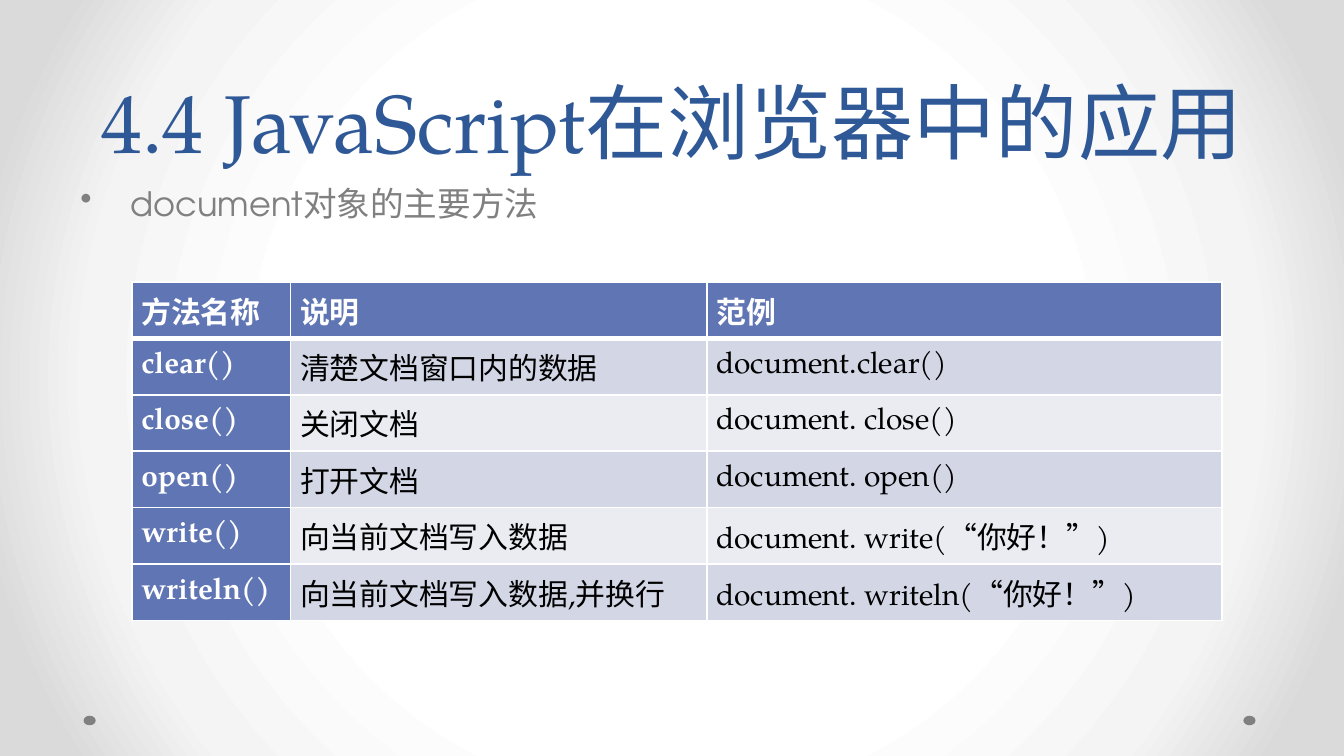
from dataclasses import dataclass

from pptx import Presentation
from pptx.dml.color import RGBColor
from pptx.enum.shapes import MSO_SHAPE
from pptx.enum.text import MSO_ANCHOR, PP_ALIGN
from pptx.oxml import parse_xml
from pptx.oxml.ns import nsdecls, qn
from pptx.util import Cm, Pt

OVAL = MSO_SHAPE.OVAL
TOP, MIDDLE, BOTTOM = MSO_ANCHOR.TOP, MSO_ANCHOR.MIDDLE, MSO_ANCHOR.BOTTOM
LEFT, CENTER = PP_ALIGN.LEFT, PP_ALIGN.CENTER


@dataclass(frozen=True)
class Theme:
    serif: str = "TeX Gyre Pagella"
    sans: str = "TeX Gyre Adventor"
    title: str = "2F5897"
    gray: str = "808080"
    head: str = "6076B4"
    bands: tuple = ("D2D6E5", "EAECF2")
    white: str = "FFFFFF"
    black: str = "000000"
    glow: tuple = ((50, "FFFFFF"), (76, "F4F4F4"), (92, "DADADA"))
    title_size: int = 44
    body_size: int = 18
    cell_size: int = 16
    thin: int = 1
    thick: int = 3


@dataclass(frozen=True)
class Method:
    name: str
    note: str
    sample: str


@dataclass(frozen=True)
class Box:
    left: float
    top: float
    width: float
    height: float

    def cm(self) -> tuple:
        return Cm(self.left), Cm(self.top), Cm(self.width), Cm(self.height)


THEME = Theme()
HEADER = Method("方法名称", "说明", "范例")
METHODS = (
    Method("clear()", "清楚文档窗口内的数据", "document.clear()"),
    Method("close()", "关闭文档", "document. close()"),
    Method("open()", "打开文档", "document. open()"),
    Method("write()", "向当前文档写入数据", "document. write(“你好！”)"),
    Method("writeln()", "向当前文档写入数据,并换行", "document. writeln(“你好！”)"),
)
TITLE = Box(1.27, 0, 22.86, 3.33)
BODY = Box(1.27, 3.33, 22.86, 9.42)
GRID = Box(2.49, 5.33, 20.6, 6.4)
DOTS = (Box(1.58, 13.53, 0.23, 0.18), Box(23.5, 13.53, 0.23, 0.18))
WIDTHS = (3.0, 7.87, 9.73)


def write(frame, text: str, *, font: str = THEME.serif, size: int = THEME.cell_size,
          color: str = THEME.black, bold: bool = False, align=LEFT,
          spacing: int = 0, bullet: str = "") -> None:
    frame.word_wrap = True
    para = frame.paragraphs[0]
    para.alignment = align
    if spacing:
        para.line_spacing = Pt(spacing)
    if bullet:
        props = para._p.get_or_add_pPr()
        props.set("marL", str(Cm(0.95)))
        props.set("indent", str(-Cm(0.95)))
        props.append(parse_xml(f'<a:buChar {nsdecls("a")} char="{bullet}"/>'))
    run = para.add_run()
    run.text = text
    run.font.name = font
    run.font.size = Pt(size)
    run.font.bold = bold
    run.font.color.rgb = RGBColor.from_string(color)


def add_text(slide, box: Box, text: str, anchor=TOP, **style) -> None:
    frame = slide.shapes.add_textbox(*box.cm()).text_frame
    frame.vertical_anchor = anchor
    write(frame, text, **style)


def add_dot(slide, box: Box) -> None:
    dot = slide.shapes.add_shape(OVAL, *box.cm())
    dot.shadow.inherit = False
    dot.fill.solid()
    dot.fill.fore_color.rgb = RGBColor.from_string(THEME.gray)
    dot.line.fill.background()


def paint_back(slide) -> None:
    stops = "".join(f'<a:gs pos="{pos * 1000}"><a:srgbClr val="{color}"/></a:gs>'
                    for pos, color in THEME.glow)
    back = parse_xml(
        f'<p:bg {nsdecls("p", "a")}><p:bgPr><a:gradFill rotWithShape="1">'
        f'<a:gsLst>{stops}</a:gsLst><a:path path="circle">'
        '<a:fillToRect l="50000" t="50000" r="50000" b="50000"/></a:path>'
        '</a:gradFill><a:effectLst/></p:bgPr></p:bg>')
    slide.element.find(qn("p:cSld")).insert(0, back)


def add_edges(cell, row: int) -> None:
    props = cell._tc.get_or_add_tcPr()
    heavy = {0: "B", 1: "T"}.get(row)
    for index, side in enumerate("LRTB"):
        width = Pt(THEME.thick if side == heavy else THEME.thin)
        props.insert(index, parse_xml(
            f'<a:ln{side} {nsdecls("a")} w="{width}"><a:solidFill>'
            f'<a:srgbClr val="{THEME.white}"/></a:solidFill></a:ln{side}>'))


def add_grid(slide, box: Box, methods: tuple) -> None:
    table = slide.shapes.add_table(len(methods), len(WIDTHS), *box.cm()).table
    for column, width in zip(table.columns, WIDTHS):
        column.width = Cm(width)
    for row, method in enumerate(methods):
        table.rows[row].height = Cm(box.height / len(methods))
        for col, text in enumerate((method.name, method.note, method.sample)):
            cell = table.cell(row, col)
            strong = row == 0 or col == 0
            cell.vertical_anchor = MIDDLE
            cell.margin_left = cell.margin_right = Cm(0.18)
            cell.margin_top = cell.margin_bottom = 0
            cell.fill.solid()
            fill = THEME.head if strong else THEME.bands[(row - 1) % 2]
            cell.fill.fore_color.rgb = RGBColor.from_string(fill)
            add_edges(cell, row)
            write(cell.text_frame, text, bold=strong,
                  color=THEME.white if strong else THEME.black)


def main() -> None:
    deck = Presentation()
    deck.slide_width, deck.slide_height = Cm(25.4), Cm(14.29)
    slide = deck.slides.add_slide(deck.slide_layouts[6])
    paint_back(slide)
    for dot in DOTS:
        add_dot(slide, dot)
    add_text(slide, TITLE, "4.4 JavaScript在浏览器中的应用", BOTTOM,
             size=THEME.title_size, color=THEME.title, align=CENTER, spacing=58)
    add_text(slide, BODY, "document对象的主要方法", font=THEME.sans,
             size=THEME.body_size, color=THEME.gray, bullet="•")
    add_grid(slide, GRID, (HEADER, *METHODS))
    deck.save("out.pptx")


if __name__ == "__main__":
    main()
